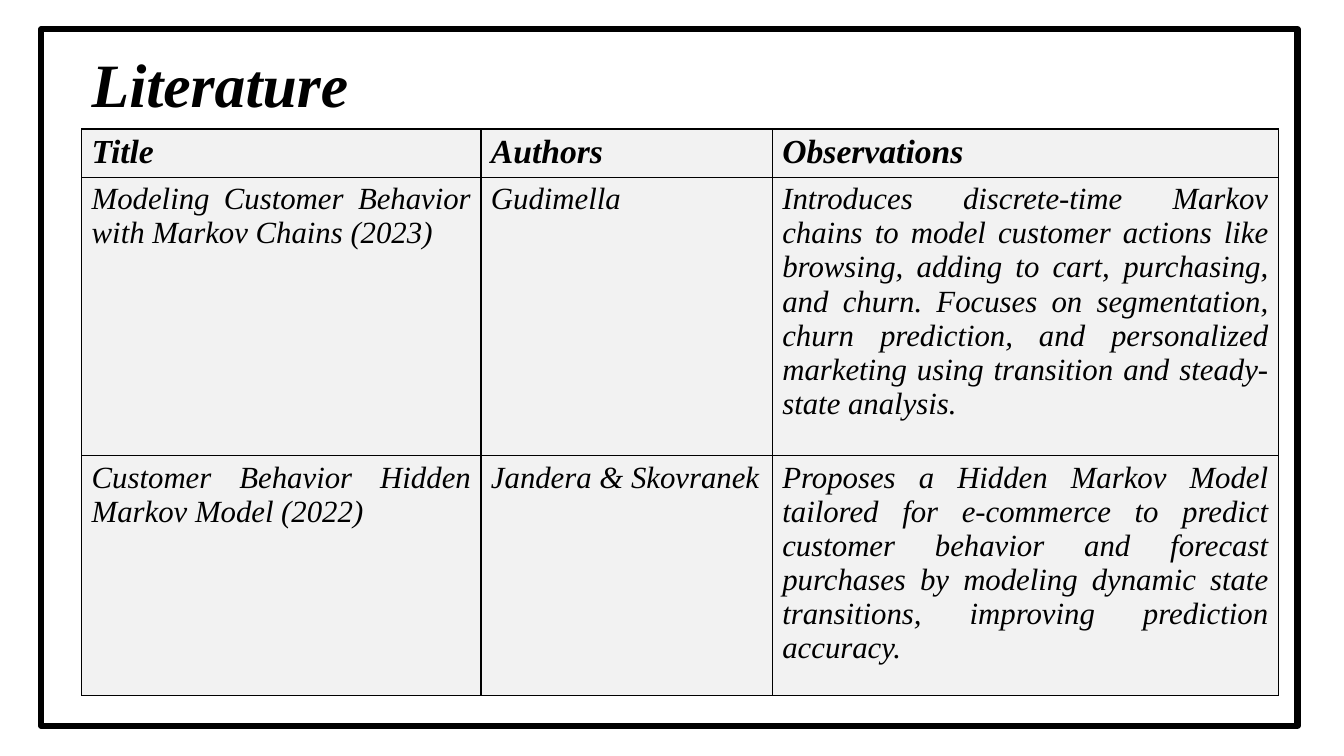
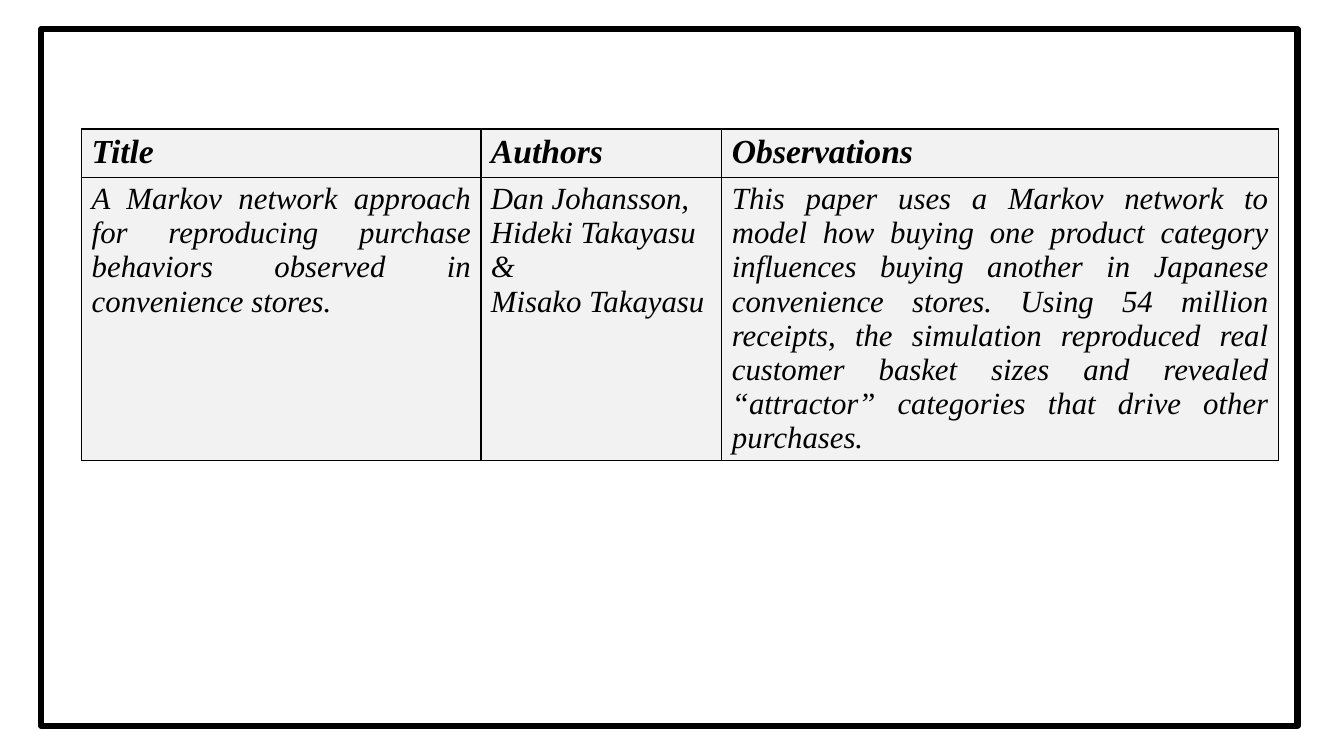
import pptx
import pptx.util
import pptx.dml.color
import pptx.enum.shapes
import pptx.enum.text
import pptx.oxml
import pptx.oxml.ns

COLORS = {"ink": "000000", "cell": "F2F2F2", "page": "FFFFFF"}
FONT = "Times New Roman"
SLIDE_SIZE = (13.33, 7.5)
TITLE_ONLY, BLANK = 5, 6

# Shared boxes: left, top, width, height in inches
FRAME_BOX = (0.41, 0.29, 12.46, 6.91)
TITLE_BOX = (0.81, 0.15, 3.12, 1.44)
TABLE_LEFT, TABLE_TOP, TABLE_WIDTH = 0.81, 1.28, 11.87
TITLE_COLUMN = 3.96
HEADER_HEIGHT = 0.48

HEADERS = ["Title", "Authors", "Observations"]
STUDIES = [
    [
        "Modeling Customer Behavior with Markov Chains (2023)",
        "Gudimella",
        "Introduces discrete-time Markov chains to model customer actions like browsing, "
        "adding to cart, purchasing, and churn. Focuses on segmentation, churn prediction, "
        "and personalized marketing using transition and steady-state analysis.",
    ],
    [
        "Customer Behavior Hidden Markov Model (2022)",
        "Jandera & Skovranek",
        "Proposes a Hidden Markov Model tailored for e-commerce to predict customer behavior "
        "and forecast purchases by modeling dynamic state transitions, improving prediction "
        "accuracy.",
    ],
]
NETWORK_STUDY = [
    "A Markov network approach for reproducing purchase behaviors observed in "
    "convenience stores.",
    "Dan Johansson,\nHideki Takayasu\n&\nMisako Takayasu",
    "This paper uses a Markov network to model how buying one product category influences "
    "buying another in Japanese convenience stores. Using 54 million receipts, the "
    "simulation reproduced real customer basket sizes and revealed “attractor” categories "
    "that drive other purchases.",
]


def color(name):
    return pptx.dml.color.RGBColor.from_string(COLORS[name])


def inches(lengths):
    return [pptx.util.Inches(length) for length in lengths]


def format_paragraph(paragraph, size, bold, alignment):
    paragraph.alignment = alignment
    paragraph.font.name = FONT
    paragraph.font.size = pptx.util.Pt(size)
    paragraph.font.bold = bold
    paragraph.font.italic = True
    paragraph.font.color.rgb = color("ink")


def add_title(slide, text, box):
    title = slide.shapes.title
    title.left, title.top, title.width, title.height = inches(box)
    title.text_frame.text = text
    title.text_frame.vertical_anchor = pptx.enum.text.MSO_ANCHOR.MIDDLE
    paragraph = title.text_frame.paragraphs[0]
    paragraph.line_spacing = 0.9
    format_paragraph(paragraph, 44, True, pptx.enum.text.PP_ALIGN.LEFT)


def add_frame(slide, box):
    frame = slide.shapes.add_shape(pptx.enum.shapes.MSO_SHAPE.RECTANGLE, *inches(box))
    frame.shadow.inherit = False
    frame.fill.background()
    frame.line.color.rgb = color("ink")
    frame.line.width = pptx.util.Pt(4.5)


def add_borders(cell, width=1):
    properties = cell._tc.get_or_add_tcPr()
    for index, side in enumerate(["lnL", "lnR", "lnT", "lnB"]):
        border = pptx.oxml.parse_xml(
            f'<a:{side} {pptx.oxml.ns.nsdecls("a")} w="{pptx.util.Pt(width)}">'
            f'<a:solidFill><a:srgbClr val="{COLORS["ink"]}"/></a:solidFill></a:{side}>'
        )
        properties.insert(index, border)


def fill_cell(cell, text, is_header):
    cell.text = text
    cell.fill.solid()
    cell.fill.fore_color.rgb = color("cell")
    add_borders(cell)
    for paragraph in cell.text_frame.paragraphs:
        format_paragraph(
            paragraph, 24 if is_header else 22, is_header, pptx.enum.text.PP_ALIGN.JUSTIFY
        )


def add_study_table(slide, studies, box, authors_width, row_heights):
    left, top, width = box
    heights = [HEADER_HEIGHT, *row_heights]
    widths = [TITLE_COLUMN, authors_width, width - TITLE_COLUMN - authors_width]
    table = slide.shapes.add_table(
        len(heights), len(widths), *inches([left, top, width, sum(heights)])
    ).table
    table.first_row = table.horz_banding = False
    for column, column_width in zip(table.columns, inches(widths)):
        column.width = column_width
    for row, row_height in zip(table.rows, inches(heights)):
        row.height = row_height
    for row_index, texts in enumerate([HEADERS, *studies]):
        for column_index, text in enumerate(texts):
            fill_cell(table.cell(row_index, column_index), text, row_index == 0)


def add_literature_slide(presentation, studies, authors_width, row_heights, title=None):
    layout = presentation.slide_layouts[TITLE_ONLY if title else BLANK]
    slide = presentation.slides.add_slide(layout)
    slide.background.fill.solid()
    slide.background.fill.fore_color.rgb = color("page")
    if title:
        add_title(slide, title, TITLE_BOX)
    table_box = (TABLE_LEFT, TABLE_TOP, TABLE_WIDTH)
    add_study_table(slide, studies, table_box, authors_width, row_heights)
    add_frame(slide, FRAME_BOX)


def main():
    presentation = pptx.Presentation()
    presentation.slide_width, presentation.slide_height = inches(SLIDE_SIZE)
    add_literature_slide(presentation, STUDIES, 2.89, [2.76, 2.38], title="Literature")
    add_literature_slide(presentation, [NETWORK_STUDY], 2.39, [2.76])
    presentation.save("out.pptx")


if __name__ == "__main__":
    main()
